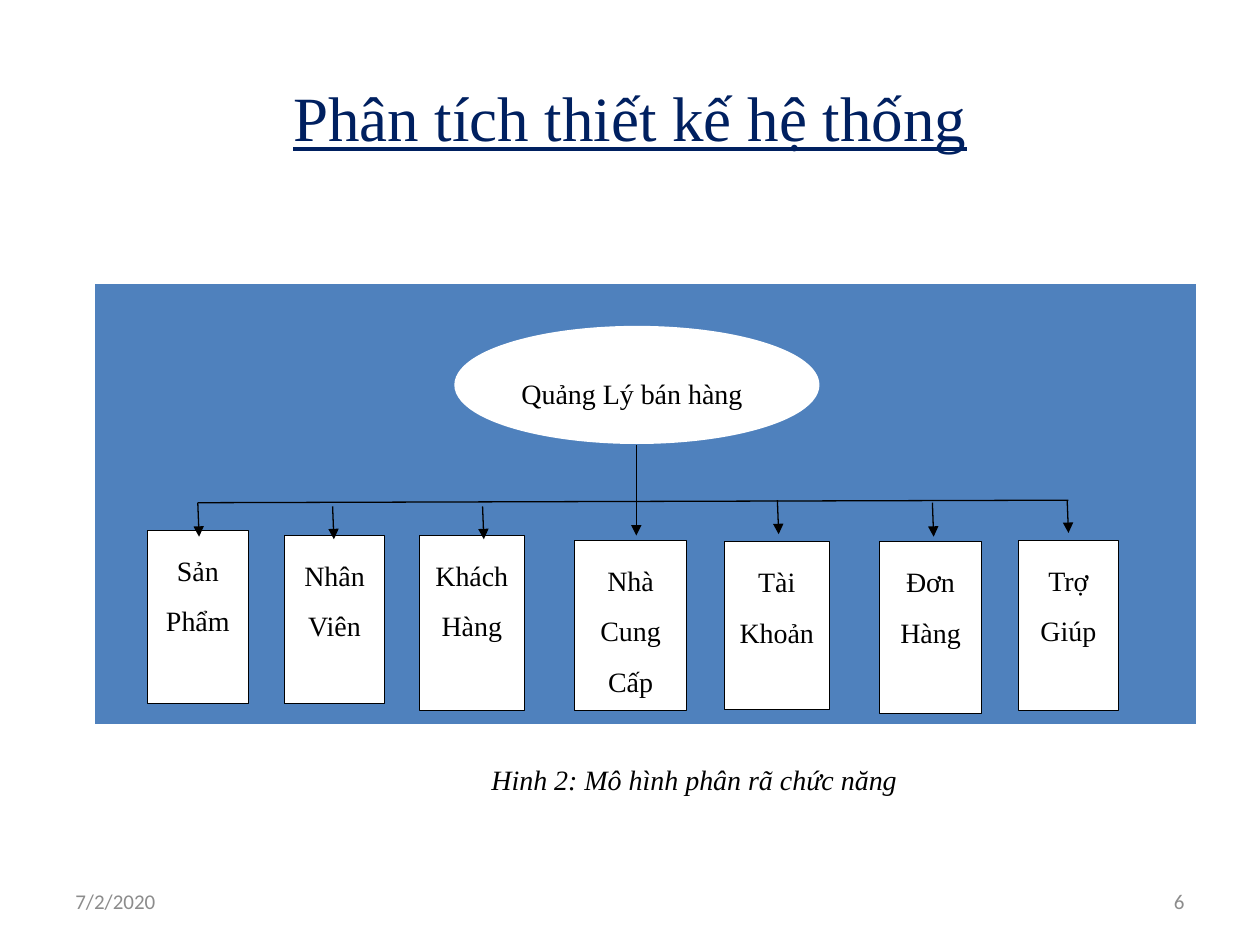
from lxml import etree
from pptx import Presentation
from pptx.dml.color import RGBColor
from pptx.enum.shapes import MSO_CONNECTOR, MSO_SHAPE
from pptx.enum.text import MSO_ANCHOR, PP_ALIGN
from pptx.oxml.ns import qn
from pptx.util import Inches, Pt

COLORS = {"title": "002060", "panel": "4F81BD", "box": "FFFFFF",
          "ink": "000000", "footer": "8C8C8C"}
SERIF = "Times New Roman"


def write(s, text, size=16, font=SERIF, color="ink", align=PP_ALIGN.CENTER,
          anchor=MSO_ANCHOR.MIDDLE, spacing=None, italic=None, underline=None):
    """Fill a shape with text, one paragraph per line, and format it."""
    tf = s.text_frame
    tf.word_wrap = True
    tf.vertical_anchor = anchor
    tf.text = text
    for p in tf.paragraphs:
        p.alignment = align
        p.line_spacing = spacing
        for r in p.runs:
            r.font.name = font
            r.font.size = Pt(size)
            r.font.italic = italic
            r.font.underline = underline
            r.font.color.rgb = RGBColor.from_string(COLORS[color])


def add_line(x1, y1, x2, y2, arrow=True):
    s = shapes.add_connector(MSO_CONNECTOR.STRAIGHT, Inches(x1), Inches(y1),
                             Inches(x2), Inches(y2))
    s.line.width = Pt(0.75)
    s.line.color.rgb = RGBColor.from_string(COLORS["ink"])
    if arrow:
        etree.SubElement(s.line._get_or_add_ln(), qn("a:tailEnd"), type="triangle")
    etree.SubElement(s._element.spPr, qn("a:effectLst"))


prs = Presentation()
prs.slide_width, prs.slide_height = Inches(10), Inches(7.5)
shapes = prs.slides.add_slide(prs.slide_layouts[6]).shapes

# Title
title = shapes.add_textbox(Inches(0.5), Inches(0.3), Inches(9), Inches(1.25))
write(title, "Phân tích thiết kế hệ thống", 36, color="title", underline=True)

# Blue panel: a one-cell table
table = shapes.add_table(1, 1, Inches(0.75), Inches(2.25), Inches(8.75), Inches(3.5)).table
cell = table.cell(0, 0)
cell.fill.solid()
cell.fill.fore_color.rgb = RGBColor.from_string(COLORS["panel"])

# Footer
for x, text, align in [(0.5, "7/2/2020", PP_ALIGN.LEFT), (7.17, "6", PP_ALIGN.RIGHT)]:
    footer = shapes.add_textbox(Inches(x), Inches(6.95), Inches(2.33), Inches(0.4))
    write(footer, text, 12, "Calibri", "footer", align)

# Root and function boxes: shape, left, top, width, height, text
root = (MSO_SHAPE.OVAL, 3.62, 2.6, 2.87, 0.91, "Quảng Lý bán hàng")
functions = [
    (1.17, 4.21, 0.8, 1.37, "Sản\nPhẩm"),
    (2.26, 4.25, 0.79, 1.33, "Nhân Viên"),
    (3.33, 4.25, 0.83, 1.39, "Khách Hàng"),
    (4.56, 4.29, 0.89, 1.35, "Nhà Cung Cấp"),
    (5.75, 4.3, 0.83, 1.33, "Tài Khoản"),
    (6.98, 4.3, 0.81, 1.36, "Đơn\nHàng"),
    (8.08, 4.29, 0.8, 1.35, "Trợ Giúp"),
]
for kind, x, y, w, h, text in [root] + [(MSO_SHAPE.RECTANGLE, *f) for f in functions]:
    is_root = kind == MSO_SHAPE.OVAL
    s = shapes.add_shape(kind, Inches(x), Inches(y), Inches(w), Inches(h))
    s.shadow.inherit = False
    s.fill.solid()
    s.fill.fore_color.rgb = RGBColor.from_string(COLORS["box"])
    s.line.color.rgb = RGBColor.from_string(COLORS["box" if is_root else "ink"])
    s.line.width = Pt(2 if is_root else 0.5)
    write(s, text, spacing=1.5,
          align=PP_ALIGN.LEFT if is_root else PP_ALIGN.CENTER,
          anchor=MSO_ANCHOR.MIDDLE if is_root else MSO_ANCHOR.TOP)

# Trunk, crossbar and branch arrows
add_line(5.05, 3.53, 5.05, 4.25)
add_line(1.57, 3.99, 8.48, 3.97, arrow=False)
for x, top, bottom in [(1.57, 3.99, 4.26), (2.64, 4.02, 4.28), (3.83, 4.02, 4.28),
                       (6.17, 3.97, 4.24), (7.4, 3.99, 4.26), (8.47, 3.97, 4.23)]:
    add_line(x, top, x + 0.01, bottom)

# Caption
caption = shapes.add_textbox(Inches(3.21), Inches(6), Inches(4.6), Inches(0.37))
write(caption, "Hinh 2: Mô hình phân rã chức năng", anchor=MSO_ANCHOR.TOP, italic=True)

prs.save("out.pptx")
